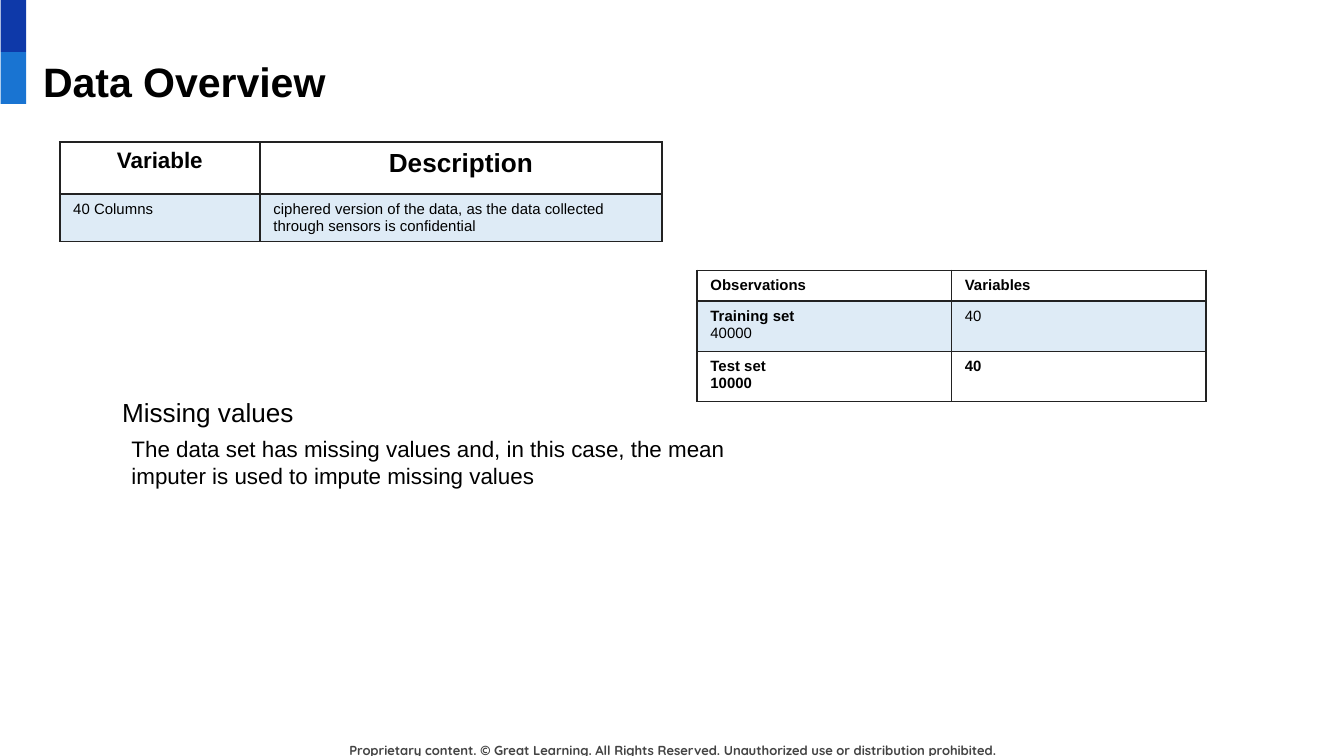
from dataclasses import dataclass

from lxml.etree import SubElement
from pptx import Presentation
from pptx.dml.color import RGBColor
from pptx.enum.shapes import MSO_SHAPE as Shape
from pptx.enum.text import MSO_ANCHOR as Anchor, PP_ALIGN as Align
from pptx.oxml.ns import qn
from pptx.util import Inches, Pt

UNIT = Inches(0.1)
COLUMNS, ROWS = 100, 56.25
BLACK, GRAY, LINE = "000000", "434343", "222222"
ROW_TINT = "5B9BD5"


@dataclass
class Box:
    left: float
    top: float
    width: float
    height: float

    def lengths(self) -> list[int]:
        return [grid(n) for n in (self.left, self.top, self.width, self.height)]


@dataclass
class Cell:
    text: str
    size: float = 8
    bold: tuple[bool, ...] = (False,)
    align: Align = Align.LEFT


@dataclass
class TableSpec:
    box: Box
    column_widths: list[float]
    row_heights: list[float]
    rows: list[list[Cell]]


@dataclass
class Label:
    box: Box
    text: str
    format: dict
    inset: float = 0.5


def grid(count: float) -> int:
    return round(count * UNIT)


def rgb(value: str) -> RGBColor:
    return RGBColor.from_string(value)


def write(frame, text: str, *, size: float, font: str = "Arial",
          color: str = BLACK, bold: tuple[bool, ...] = (False,),
          align: Align = Align.LEFT) -> None:
    frame.word_wrap = True
    frame.text = text
    for index, paragraph in enumerate(frame.paragraphs):
        paragraph.alignment = align
        for run in paragraph.runs:
            run.font.name = font
            run.font.size = Pt(size)
            run.font.bold = bold[index % len(bold)]
            run.font.color.rgb = rgb(color)


def add_label(slide, label: Label) -> None:
    frame = slide.shapes.add_textbox(*label.box.lengths()).text_frame
    frame.margin_top = grid(label.inset)
    write(frame, label.text, **label.format)


def add_block(slide, box: Box, color: str) -> None:
    shape = slide.shapes.add_shape(Shape.RECTANGLE, *box.lengths())
    shape.shadow.inherit = False
    shape.fill.solid()
    shape.fill.fore_color.rgb = rgb(color)
    shape.line.fill.background()


def border_cell(cell) -> None:
    properties = cell._tc.get_or_add_tcPr()
    for position, side in enumerate(("lnL", "lnR", "lnT", "lnB")):
        line = properties.makeelement(qn(f"a:{side}"), {"w": str(Pt(1))})
        fill = SubElement(line, qn("a:solidFill"))
        SubElement(fill, qn("a:srgbClr"), val=LINE)
        properties.insert(position, line)


def fill_cell(cell, tinted: bool) -> None:
    if not tinted:
        cell.fill.background()
        return
    cell.fill.solid()
    cell.fill.fore_color.rgb = rgb(ROW_TINT)
    color = cell._tc.tcPr.find(".//" + qn("a:srgbClr"))
    SubElement(color, qn("a:alpha"), val="20000")


def add_table(slide, spec: TableSpec) -> None:
    table = slide.shapes.add_table(
        len(spec.rows), len(spec.column_widths), *spec.box.lengths()).table
    table.first_row = table.horz_banding = False
    for column, width in zip(table.columns, spec.column_widths):
        column.width = grid(width)
    for row, height in zip(table.rows, spec.row_heights):
        row.height = grid(height)
    for row_index, row in enumerate(spec.rows):
        for column_index, content in enumerate(row):
            cell = table.cell(row_index, column_index)
            write(cell.text_frame, content.text, size=content.size,
                  bold=content.bold, align=content.align)
            fill_cell(cell, tinted=row_index == 1)
            border_cell(cell)


BOLD = (True,)
TABLES = [
    TableSpec(Box(4.45, 10.55, 44.8, 7.4), [14.9, 29.9], [3.9, 3.5], [
        [Cell("Variable", 12, BOLD, Align.CENTER),
         Cell("Description", 14, BOLD, Align.CENTER)],
        [Cell("40 Columns"),
         Cell("ciphered version of the data, as the data collected "
              "through sensors is confidential")],
    ]),
    TableSpec(Box(51.86, 20.12, 37.9, 9.8), [18.93, 18.93], [2.3, 3.73, 3.73], [
        [Cell("Observations", bold=BOLD), Cell("Variables", bold=BOLD)],
        [Cell("Training set\n40000", bold=(True, False)), Cell("40")],
        [Cell("Test set\n10000", bold=BOLD), Cell("40", bold=BOLD)],
    ]),
]
LABELS = [
    Label(Box(24.5, 53.8, 51.1, 3),
          "Proprietary content. © Great Learning. All Rights Reserved. "
          "Unauthorized use or distribution prohibited.",
          dict(size=7, font="Quicksand", color=GRAY, bold=BOLD,
               align=Align.CENTER), inset=1.45),
    Label(Box(8.8, 31.9, 48, 5),
          "The data set has missing values and, in this case, the mean "
          "imputer is used to impute missing values", dict(size=12)),
    Label(Box(8.1, 29, 21.6, 3.4), "Missing values", dict(size=14)),
]


def main() -> None:
    presentation = Presentation()
    presentation.slide_width = grid(COLUMNS)
    presentation.slide_height = grid(ROWS)
    slide = presentation.slides.add_slide(presentation.slide_layouts[5])

    for index, color in enumerate(("0E39A9", "1974D2")):
        add_block(slide, Box(0.05, index * 3.87, 1.9, 3.87), color)

    title = slide.shapes.title
    title.left, title.top, title.width, title.height = Box(
        2.2, 3.2, 93.2, 6.3).lengths()
    title.text_frame.vertical_anchor = Anchor.TOP
    title.text_frame.margin_top = grid(1)
    write(title.text_frame, "Data Overview", size=22, bold=BOLD)

    for spec in TABLES:
        add_table(slide, spec)
    for label in LABELS:
        add_label(slide, label)
    presentation.save("out.pptx")


if __name__ == "__main__":
    main()
